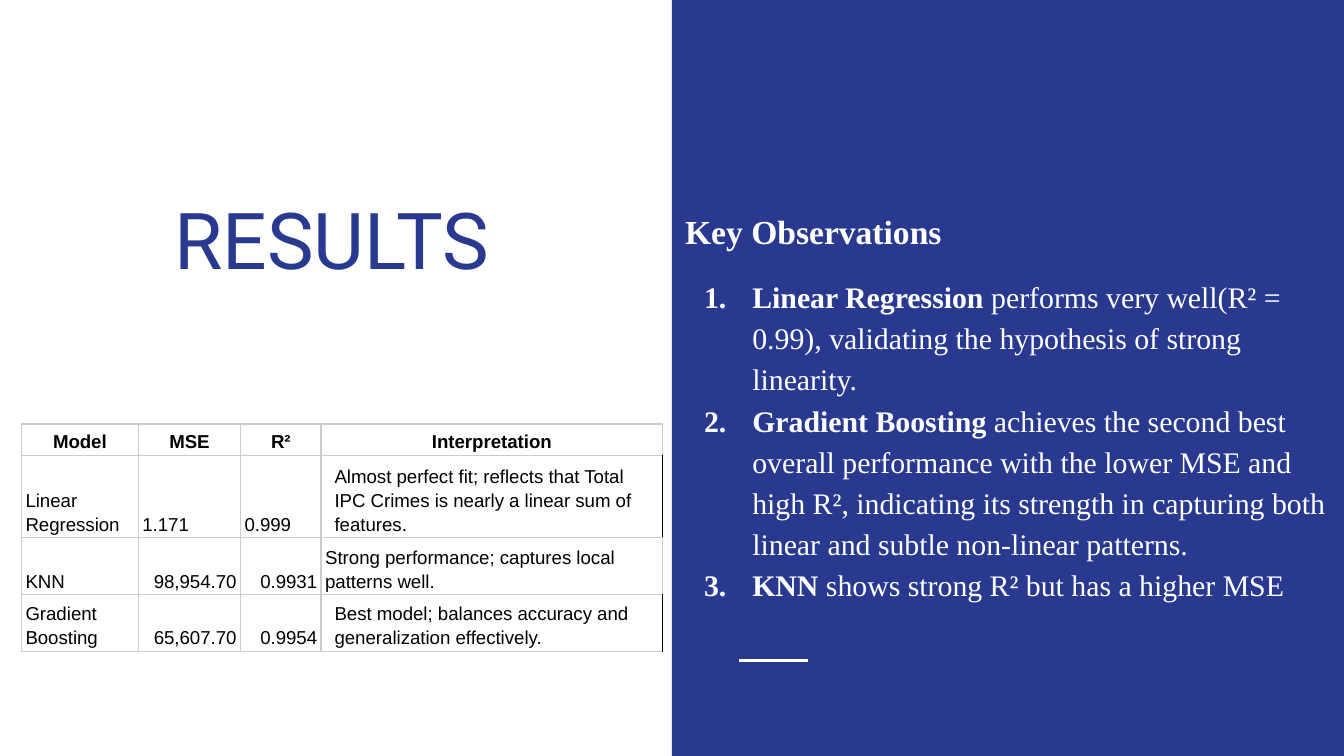
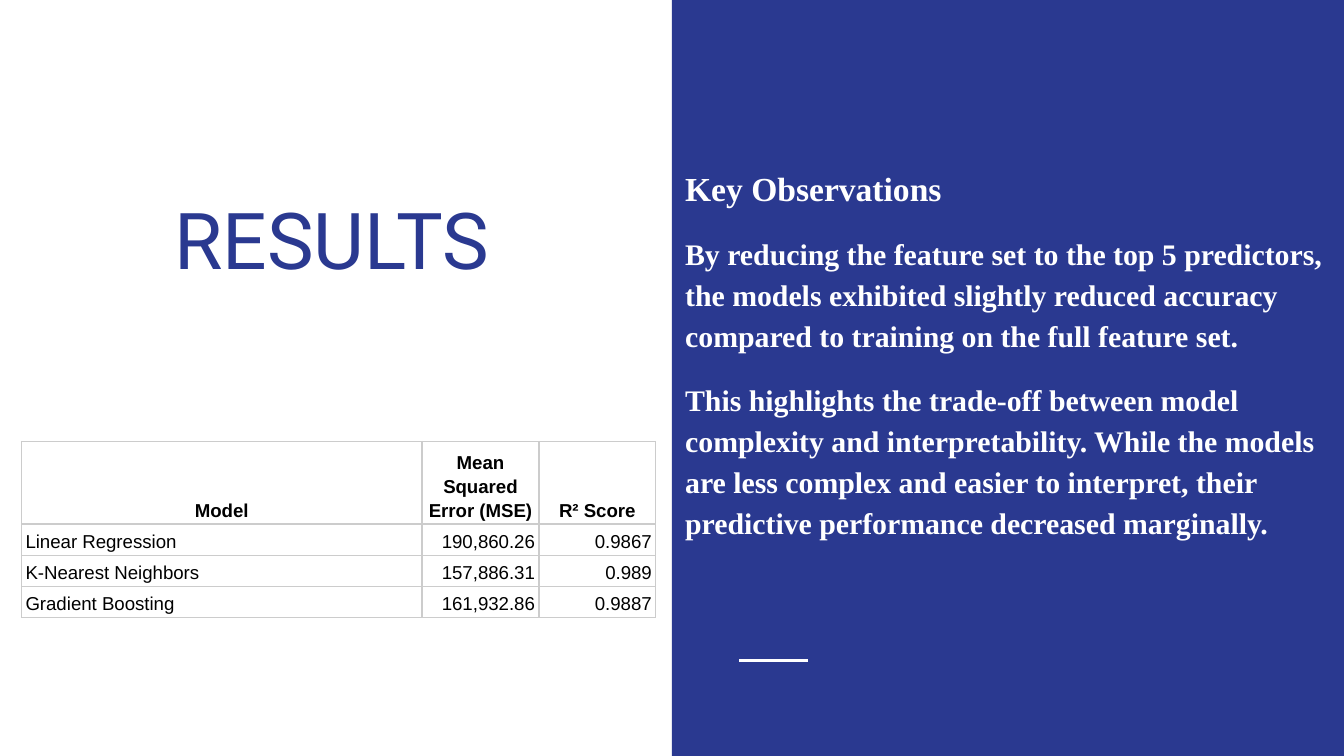
import pptx
import pptx.dml.color
import pptx.enum.shapes
import pptx.enum.text
import pptx.oxml
import pptx.oxml.ns
import pptx.util

RGBColor = pptx.dml.color.RGBColor
Align = pptx.enum.text.PP_ALIGN
Anchor = pptx.enum.text.MSO_ANCHOR
Pt = pptx.util.Pt
Inches = pptx.util.Inches

NAVY = RGBColor(0x2A, 0x39, 0x90)
WHITE = RGBColor(0xFF, 0xFF, 0xFF)
BLACK = RGBColor(0, 0, 0)
GRID_GREY = RGBColor(0xCC, 0xCC, 0xCC)
LINE_SPACING = 1.15


def add_xml(parent, tag, **attributes):
    """Append a drawing element such as a:ln to its parent."""
    element = pptx.oxml.parse_xml(f"<{tag} {pptx.oxml.ns.nsdecls('a')}/>")
    for name, value in attributes.items():
        element.set(name, str(value))
    parent.append(element)
    return element


class ResultsDeck:
    """Shared style and the current slide; lengths are in a 10 x 10 grid."""

    def __init__(self):
        self.deck = pptx.Presentation()
        self.deck.slide_width = Inches(10)
        self.deck.slide_height = Inches(5.625)
        self.column = self.deck.slide_width / 10
        self.row = self.deck.slide_height / 10
        self.slide = None

    def box(self, left, top, width, height):
        return (round(left * self.column), round(top * self.row),
                round(width * self.column), round(height * self.row))

    def new_slide(self):
        """Start a slide with the parts that every slide shares."""
        self.slide = self.deck.slides.add_slide(self.deck.slide_layouts[6])
        self.panel()
        self.rule()
        self.title("RESULTS")

    def panel(self):
        half = self.slide.shapes.add_shape(
            pptx.enum.shapes.MSO_SHAPE.RECTANGLE, *self.box(5, 0, 5, 10))
        half.shadow.inherit = False
        half.fill.solid()
        half.fill.fore_color.rgb = NAVY
        half.line.fill.background()

    def rule(self):
        left, top, width, _ = self.box(5.5, 8.74, 0.51, 0)
        dash = self.slide.shapes.add_connector(
            pptx.enum.shapes.MSO_CONNECTOR.STRAIGHT, left, top, left + width, top)
        dash.line.color.rgb = WHITE
        dash.line.width = Pt(1.5)
        add_xml(dash._element.spPr, "a:effectLst")

    def frame(self, place, anchor, bottom_inset=0.1):
        frame = self.slide.shapes.add_textbox(*self.box(*place)).text_frame
        frame.word_wrap = True
        frame.vertical_anchor = anchor
        frame.margin_left = frame.margin_right = frame.margin_top = Inches(0.1)
        frame.margin_bottom = Inches(bottom_inset)
        return frame

    def font(self, paragraph, name, size, color, bold=None):
        paragraph.font.name = name
        paragraph.font.size = Pt(size)
        paragraph.font.color.rgb = color
        paragraph.font.bold = bold

    def title(self, text):
        heading = self.frame((0.26, 0.91, 4.42, 3.04), Anchor.BOTTOM).paragraphs[0]
        heading.text = text
        heading.alignment = Align.CENTER
        self.font(heading, "Roboto", 42, NAVY)

    def observations(self, points, numbered=False, bottom_inset=0.1):
        """Write the heading and its points; a point is (bold, regular) text."""
        frame = self.frame((5, 1.75, 5, 7.18), Anchor.MIDDLE, bottom_inset)
        heading = frame.paragraphs[0]
        heading.text = "Key Observations"
        heading.line_spacing = LINE_SPACING
        self.font(heading, "Times New Roman", 18, WHITE, True)
        for index, (strong, rest) in enumerate(points):
            point = frame.add_paragraph()
            point.line_spacing = LINE_SPACING
            point.space_before = Pt(0 if numbered and index else 12)
            if numbered:
                self.number(point)
            self.font(point, "Times New Roman", 16, WHITE)
            for text, bold in ((strong, True), (rest, False)):
                if text:
                    run = point.add_run()
                    run.text = text
                    run.font.bold = bold

    def number(self, paragraph):
        properties = paragraph._p.get_or_add_pPr()
        properties.set("marL", str(Inches(0.5)))
        properties.set("indent", str(Inches(-0.36)))
        add_xml(add_xml(properties, "a:buClr"), "a:srgbClr", val=WHITE)
        add_xml(properties, "a:buFont", typeface="Times New Roman")
        add_xml(properties, "a:buAutoNum", type="arabicPeriod")

    def borders(self, cell, right):
        properties = cell._tc.get_or_add_tcPr()
        sides = {"L": GRID_GREY, "R": right, "T": GRID_GREY, "B": GRID_GREY}
        for side, color in sides.items():
            line = add_xml(properties, f"a:ln{side}", w=Pt(0.8))
            add_xml(add_xml(line, "a:solidFill"), "a:srgbClr", val=color)

    def table(self, top, widths, heights, rows, left_aligned=(), indented=()):
        """Draw a score table; the last two arguments hold (row, column) pairs."""
        scores = self.slide.shapes.add_table(
            len(rows), len(widths),
            *self.box(0.16, top, sum(widths), sum(heights))).table
        scores.first_row = scores.horz_banding = False
        for column, width in zip(scores.columns, widths):
            column.width = round(width * self.column)
        for row, height in zip(scores.rows, heights):
            row.height = round(height * self.row)
        for r, texts in enumerate(rows):
            for c, text in enumerate(texts):
                cell = scores.cell(r, c)
                inset = (r, c) in indented
                self.borders(cell, BLACK if inset else GRID_GREY)
                cell.fill.background()
                cell.vertical_anchor = Anchor.BOTTOM
                cell.margin_left = cell.margin_right = Inches(0.1 if inset else 0.03)
                cell.margin_top = cell.margin_bottom = Inches(0.02)
                entry = cell.text_frame.paragraphs[0]
                entry.text = text
                entry.line_spacing = LINE_SPACING
                if r == 0:
                    entry.alignment = Align.CENTER
                elif c in (1, 2) and (r, c) not in left_aligned:
                    entry.alignment = Align.RIGHT
                else:
                    entry.alignment = Align.LEFT
                self.font(entry, "Arial", 10, BLACK, r == 0)


def main():
    results = ResultsDeck()
    short, tall = 0.39, 0.64

    # Slide 1: all features
    results.new_slide()
    results.observations([
        ("Linear Regression", " performs very well(R² = 0.99), validating the "
         "hypothesis of strong linearity."),
        ("Gradient Boosting", " achieves the second best overall performance with "
         "the lower MSE and high R², indicating its strength in capturing both "
         "linear and subtle non-linear patterns."),
        ("KNN", " shows strong R² but has a higher MSE"),
    ], numbered=True)
    results.table(5.61, [0.87, 0.76, 0.6, 2.54], [short, tall, short, tall], [
        ("Model", "MSE", "R²", "Interpretation"),
        ("Linear Regression", "1.171", "0.999",
         "Almost perfect fit; reflects that Total IPC Crimes is nearly a linear "
         "sum of features."),
        ("KNN", "98,954.70", "0.9931",
         "Strong performance; captures local patterns well."),
        ("Gradient Boosting", "65,607.70", "0.9954",
         "Best model; balances accuracy and generalization effectively."),
    ], left_aligned={(1, 1), (1, 2)}, indented={(1, 3), (3, 3)})

    # Slide 2: top five predictors
    results.new_slide()
    results.observations([
        ("By reducing the feature set to the top 5 predictors, the models exhibited "
         "slightly reduced accuracy compared to training on the full feature set.", ""),
        ("This highlights the trade-off between model complexity and "
         "interpretability. While the models are less complex and easier to "
         "interpret, their predictive performance decreased marginally.", ""),
    ], bottom_inset=0.88)
    results.table(5.84, [2.98, 0.87, 0.87], [tall, short, short, short], [
        ("Model", "Mean Squared Error (MSE)", "R² Score"),
        ("Linear Regression", "190,860.26", "0.9867"),
        ("K-Nearest Neighbors", "157,886.31", "0.989"),
        ("Gradient Boosting", "161,932.86", "0.9887"),
    ])

    results.deck.save("out.pptx")


if __name__ == "__main__":
    main()
